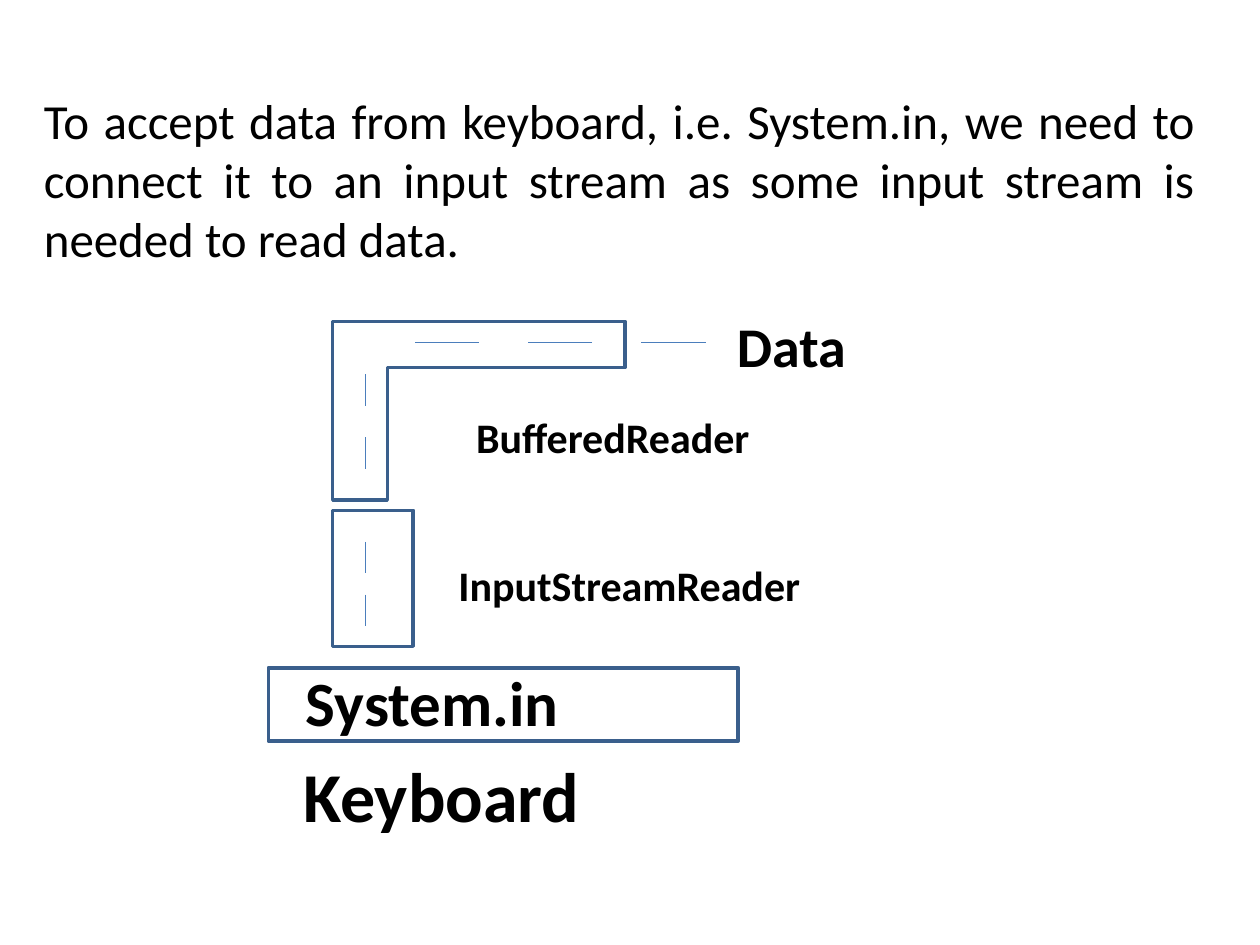
from typing import NamedTuple

from lxml import etree
from pptx import Presentation
from pptx.dml.color import RGBColor
from pptx.enum.shapes import MSO_CONNECTOR, MSO_SHAPE
from pptx.enum.text import PP_ALIGN
from pptx.oxml.ns import qn
from pptx.util import Inches, Pt

RECT, CORNER = MSO_SHAPE.RECTANGLE, MSO_SHAPE.CORNER
STRAIGHT = MSO_CONNECTOR.STRAIGHT
LEFT, JUSTIFY = PP_ALIGN.LEFT, PP_ALIGN.JUSTIFY
WIDTH, HEIGHT = Inches(10), Inches(7.5)
FONT, BLACK, OUTLINE, FLOW = "Calibri", "000000", "3A5F8C", "4B7EBC"


class Box(NamedTuple):
    """A frame in percent of the slide's width and height."""
    left: float
    top: float
    width: float
    height: float


class Label(NamedTuple):
    """A bold caption of the diagram."""
    text: str
    box: Box
    size: int


class Pipe(NamedTuple):
    """An outlined part that the data passes through."""
    kind: int
    box: Box
    rotation: int = 0
    adjustments: tuple = ()


INTRO = ("To accept data from keyboard, i.e. System.in, we need to connect it to an "
         "input stream as some input stream is needed to read data.")
PIPES = [
    Pipe(CORNER, Box(30.9, 28, 14.2, 30.93), 90, (0.305, 0.258)),
    Pipe(RECT, Box(26.4, 54, 6.4, 14.4)),
    Pipe(RECT, Box(21.3, 70.67, 37.3, 7.73)),
]
LABELS = [
    Label("System.in", Box(23.3, 69.6, 35.3, 9.47), 36),
    Label("Keyboard", Box(23.1, 78.93, 37.3, 10.27), 40),
    Label("InputStreamReader", Box(35.4, 58.53, 51.5, 6.67), 24),
    Label("BufferedReader", Box(36.8, 42.93, 51.5, 6.67), 24),
    Label("Data", Box(57.5, 32.27, 18, 8.53), 32),
]
RISE_X, RISE_LENGTH, RISE_TOPS = 29, 3.33, (62.93, 57.33, 46.27, 39.6)
RUN_Y, RUN_LENGTH, RUN_LEFTS = 36.27, 5.1, (32.9, 41.9, 50.9)


def color(value: str) -> RGBColor:
    """Turn a hex string into a colour."""
    return RGBColor.from_string(value)


def across(share: float) -> int:
    """Turn a percentage of the slide's width into a length."""
    return round(WIDTH * share / 100)


def down(share: float) -> int:
    """Turn a percentage of the slide's height into a length."""
    return round(HEIGHT * share / 100)


def frame(box: Box) -> tuple:
    """Give a box as left, top, width and height lengths."""
    return across(box.left), down(box.top), across(box.width), down(box.height)


def add_text(s, text: str, box: Box, *, size: int, bold: bool = False, align=LEFT) -> None:
    """Write one wrapped paragraph in a text box."""
    tf = s.shapes.add_textbox(*frame(box)).text_frame
    tf.word_wrap = True
    p = tf.paragraphs[0]
    p.alignment = align
    r = p.add_run()
    r.text = text
    r.font.name, r.font.size, r.font.bold = FONT, Pt(size), bold
    r.font.color.rgb = color(BLACK)


def add_pipe(s, pipe: Pipe) -> None:
    """Draw an unfilled outlined shape."""
    sp = s.shapes.add_shape(pipe.kind, *frame(pipe.box))
    sp.rotation = pipe.rotation
    for i, value in enumerate(pipe.adjustments):
        sp.adjustments[i] = value
    sp.shadow.inherit = False
    sp.fill.background()
    sp.line.color.rgb = color(OUTLINE)
    sp.line.width = Pt(2)


def add_dash(s, x1: float, y1: float, x2: float, y2: float) -> None:
    """Draw one short stroke of the data flow."""
    line = s.shapes.add_connector(STRAIGHT, across(x1), down(y1), across(x2), down(y2))
    line.line.color.rgb = color(FLOW)
    line.line.width = Pt(0.75)
    etree.SubElement(line._element.spPr, qn("a:effectLst"))


def main() -> None:
    """Build and save the slide."""
    prs = Presentation()
    prs.slide_width, prs.slide_height = WIDTH, HEIGHT
    s = prs.slides.add_slide(prs.slide_layouts[6])
    add_text(s, INTRO, Box(2.5, 8.93, 93.3, 20.13), size=28, align=JUSTIFY)
    for pipe in PIPES:
        add_pipe(s, pipe)
    for top in RISE_TOPS:
        add_dash(s, RISE_X, top, RISE_X, top + RISE_LENGTH)
    for left in RUN_LEFTS:
        add_dash(s, left + RUN_LENGTH, RUN_Y, left, RUN_Y)
    for label in LABELS:
        add_text(s, label.text, label.box, size=label.size, bold=True)
    prs.save("out.pptx")


if __name__ == "__main__":
    main()
